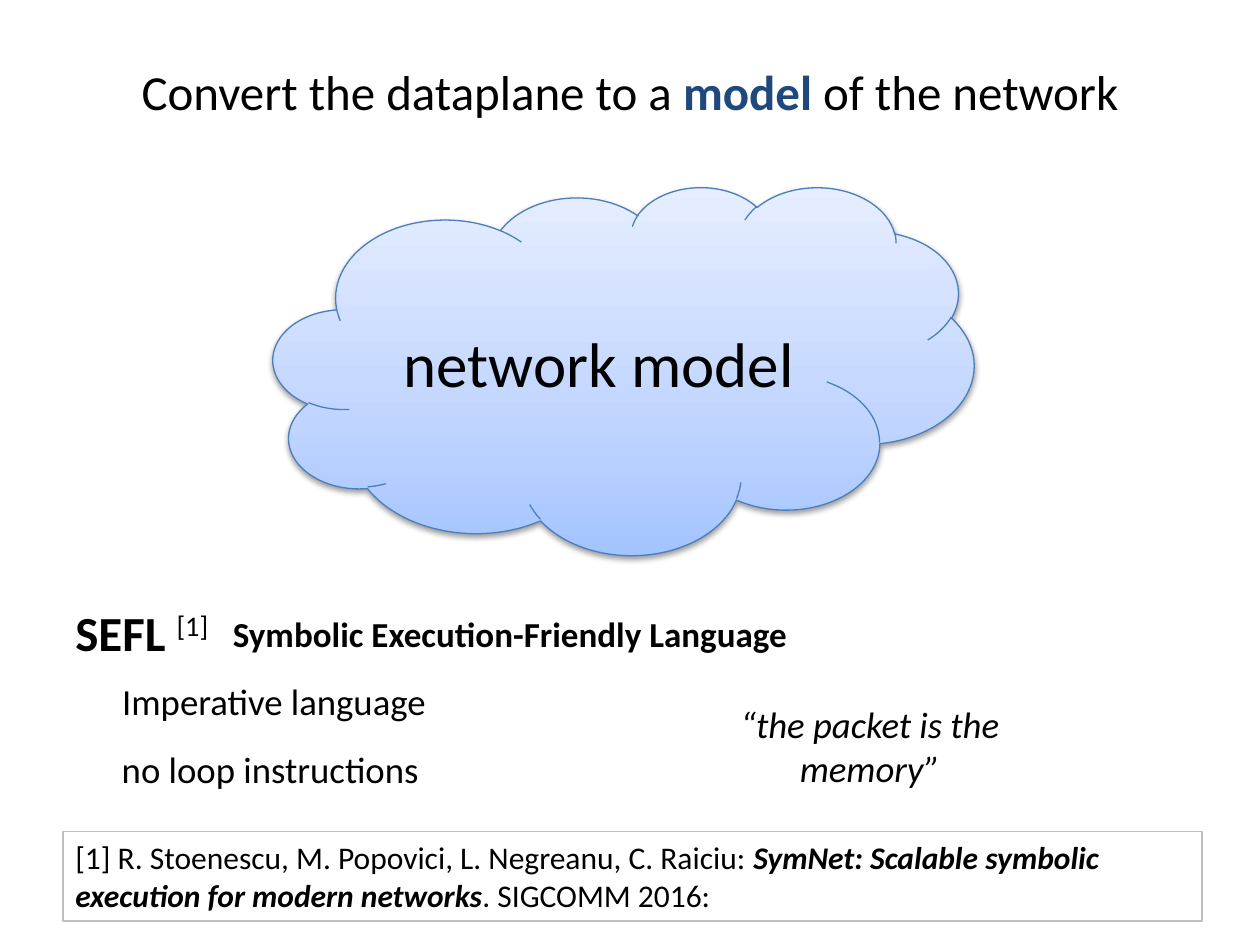
"""Build the network model slide."""
from copy import deepcopy

from lxml.etree import SubElement
from pptx import Presentation
from pptx.dml.color import RGBColor
from pptx.enum.shapes import MSO_SHAPE
from pptx.enum.text import MSO_ANCHOR, PP_ALIGN
from pptx.oxml.ns import qn
from pptx.util import Inches, Pt

BASE = {"name": "Calibri", "bold": False, "italic": False}
BOLD = {"bold": True}


def color(code):
    """Turn a hex string into a colour."""
    return RGBColor.from_string(code)


def write(shape, size, runs, align=PP_ALIGN.LEFT, anchor=MSO_ANCHOR.TOP, gap=0):
    """Write one paragraph of (text, format, hex) runs and return the runs."""
    frame = shape.text_frame
    frame.word_wrap = True
    frame.vertical_anchor = anchor
    para = frame.paragraphs[0]
    para.alignment = align
    para.space_before = Pt(size * gap)
    made = []
    for text, style, code in runs:
        run = para.add_run()
        run.text = text
        for key, value in {**BASE, "size": Pt(size), **style}.items():
            setattr(run.font, key, value)
        run.font.color.rgb = color(code)
        made.append(run)
    return made


def add_text(slide, at, size, runs, **layout):
    """Add a text box and return its runs."""
    box = slide.shapes.add_textbox(*map(Inches, at))
    return write(box, size, runs, **layout)


def add_shape(slide, kind, at, line):
    """Add a preset shape with a thin outline and no shadow."""
    shape = slide.shapes.add_shape(kind, *map(Inches, at))
    shape.shadow.inherit = False
    shape.line.color.rgb = color(line)
    shape.line.width = Pt(0.75)
    return shape


def shade(shape, stops):
    """Fill a shape with a gradient that runs from bottom to top."""
    shape.fill.gradient()
    shape.fill.gradient_angle = 90
    group = shape._element.spPr.find(qn("a:gradFill")).find(qn("a:gsLst"))
    while len(group) < len(stops):
        group.append(deepcopy(group[0]))
    for stop, (place, code) in zip(shape.fill.gradient_stops, stops):
        stop.position = place
        stop.color.rgb = color(code)


def cast(shape, blur, drop, alpha):
    """Give a shape a black shadow straight below it."""
    effects = shape._element.spPr.find(qn("a:effectLst"))
    shadow = SubElement(effects, qn("a:outerShdw"), blurRad=str(Pt(blur)),
                        dist=str(Pt(drop)), dir="5400000", rotWithShape="0")
    tint = SubElement(shadow, qn("a:srgbClr"), val="000000")
    SubElement(tint, qn("a:alpha"), val=str(alpha * 1000))


def main():
    """Build and save the slide."""
    deck = Presentation()
    deck.slide_width, deck.slide_height = Inches(10), Inches(7.5)
    slide = deck.slides.add_slide(deck.slide_layouts[6])
    black = "000000"
    center, middle = PP_ALIGN.CENTER, MSO_ANCHOR.MIDDLE

    add_text(slide, (0, 0.3, 10, 0.85), 28,
             [("Convert the dataplane to a ", {}, black),
              ("model", BOLD, "1F497D"),
              (" of the network", {}, black)], align=center, anchor=middle)

    cloud = add_shape(slide, MSO_SHAPE.CLOUD, (2.17, 1.48, 5.56, 2.92), "4B7EBC")
    shade(cloud, [(0, "A4C4FF"), (0.35, "BFD4FF"), (1, "E6EEFF")])
    cast(cloud, 3.1, 1.6, 38)
    write(cloud, 36, [("network model", {}, black)], align=center, anchor=middle)

    mark = add_text(slide, (0.5, 4.73, 1.94, 0.68), 28,
                    [("SEFL ", BOLD, black), ("[1]", {}, black)], gap=0.2)[1]
    mark.font._element.set("baseline", "30000")
    add_text(slide, (1.75, 4.81, 4.67, 0.42), 20,
             [("Symbolic Execution-Friendly Language", BOLD, black)], gap=0.2)

    points = [
        ((0.59, 5.34, 3.17, 0.58), "Imperative language", {}),
        ((0.56, 5.88, 3.17, 0.58), "no loop instructions", {}),
        ((5.25, 5.52, 3.31, 0.58), "“the packet is the memory”", {"italic": True}),
    ]
    for at, text, style in points:
        add_text(slide, at, 21, [(text, style, black)], align=center, gap=0.2)

    note = add_shape(slide, MSO_SHAPE.RECTANGLE, (0.5, 6.6, 9.04, 0.71), "BFBFBF")
    note.fill.solid()
    note.fill.fore_color.rgb = color("FFFFFF")
    write(note, 18,
          [("[1] R. Stoenescu, M. Popovici, L. Negreanu, C. Raiciu: ", {}, black),
           ("SymNet: Scalable symbolic execution for modern networks",
            {"bold": True, "italic": True}, black),
           (". SIGCOMM 2016:", {}, black)])

    deck.save("out.pptx")


if __name__ == "__main__":
    main()
